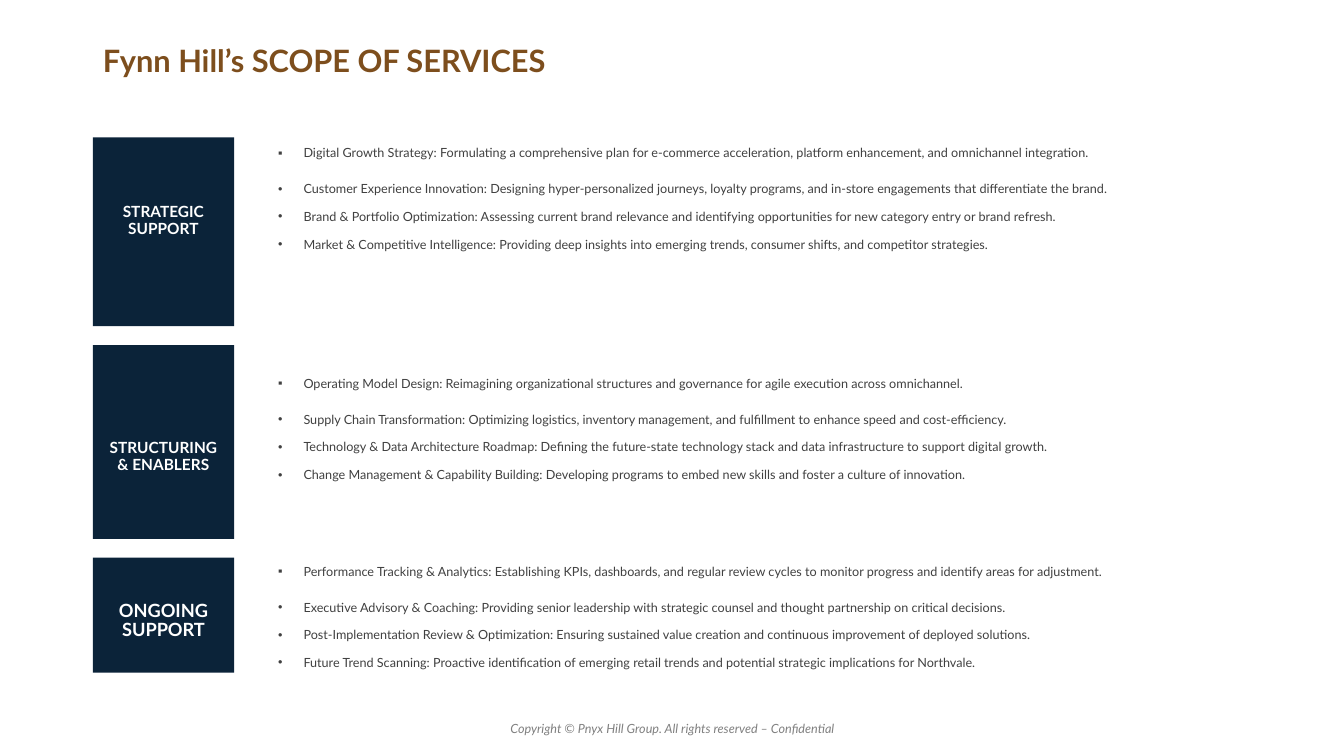
from lxml import etree
from pptx import Presentation
from pptx.dml.color import RGBColor
from pptx.enum.shapes import MSO_SHAPE
from pptx.enum.text import MSO_ANCHOR, PP_ALIGN
from pptx.oxml.ns import qn
from pptx.util import Cm, Pt

RECTANGLE = MSO_SHAPE.RECTANGLE
TOP, MIDDLE = MSO_ANCHOR.TOP, MSO_ANCHOR.MIDDLE
LEFT, CENTER = PP_ALIGN.LEFT, PP_ALIGN.CENTER
NAVY, BROWN, WHITE, DARK_GREY, GREY = "0B2339", "7D4E1D", "FFFFFF", "404040", "808080"
MARGIN, LABEL_WIDTH = 2.34, 3.56
LIST_LEFT, LIST_WIDTH = 6.76, 25.63
INDENT = Cm(0.64)

# label, label top, height, size, text shift down, list top, list height, services
SECTIONS = [
    ("STRATEGIC SUPPORT", 3.46, 4.76, 11, -0.27, 3.46, 4.76, [
        "Digital Growth Strategy: Formulating a comprehensive plan for e-commerce acceleration, platform enhancement, and omnichannel integration.",
        "Customer Experience Innovation: Designing hyper-personalized journeys, loyalty programs, and in-store engagements that differentiate the brand.",
        "Brand & Portfolio Optimization: Assessing current brand relevance and identifying opportunities for new category entry or brand refresh.",
        "Market & Competitive Intelligence: Providing deep insights into emerging trends, consumer shifts, and competitor strategies.",
    ]),
    ("STRUCTURING & ENABLERS", 8.7, 4.88, 11, 0.38, 9.27, 4.76, [
        "Operating Model Design: Reimagining organizational structures and governance for agile execution across omnichannel.",
        "Supply Chain Transformation: Optimizing logistics, inventory management, and fulfillment to enhance speed and cost-efficiency.",
        "Technology & Data Architecture Roadmap: Defining the future-state technology stack and data infrastructure to support digital growth.",
        "Change Management & Capability Building: Developing programs to embed new skills and foster a culture of innovation.",
    ]),
    ("ONGOING SUPPORT", 14.05, 2.9, 13, 0.15, 14.0, 1.6, [
        "Performance Tracking & Analytics: Establishing KPIs, dashboards, and regular review cycles to monitor progress and identify areas for adjustment.",
        "Executive Advisory & Coaching: Providing senior leadership with strategic counsel and thought partnership on critical decisions.",
        "Post-Implementation Review & Optimization: Ensuring sustained value creation and continuous improvement of deployed solutions.",
        "Future Trend Scanning: Proactive identification of emerging retail trends and potential strategic implications for Northvale.",
    ]),
]


def color(hex_value):
    return RGBColor.from_string(hex_value)


def write(paragraph, text, size, hex_value, align=LEFT, spacing=1.0, bold=False, italic=False):
    paragraph.alignment = align
    paragraph.line_spacing = spacing
    run = paragraph.add_run()
    run.text = text
    run.font.name = "Lato"
    run.font.size = Pt(size)
    run.font.bold = bold
    run.font.italic = italic
    run.font.color.rgb = color(hex_value)


prs = Presentation()
prs.slide_width, prs.slide_height = Cm(33.87), Cm(19.05)
slide = prs.slides.add_slide(prs.slide_layouts[5])

title = slide.shapes.title
title.left, title.top, title.width, title.height = Cm(MARGIN), Cm(1.02), Cm(29.18), Cm(2.29)
title.text_frame.vertical_anchor = TOP
write(title.text_frame.paragraphs[0], "Fynn Hill’s SCOPE OF SERVICES", 22, BROWN,
      spacing=0.9, bold=True)

for name, top, height, size, shift, list_top, list_height, services in SECTIONS:
    label = slide.shapes.add_shape(RECTANGLE, Cm(MARGIN), Cm(top), Cm(LABEL_WIDTH), Cm(height))
    label.shadow.inherit = False
    label.fill.solid()
    label.fill.fore_color.rgb = color(NAVY)
    label.line.fill.background()
    label_frame = label.text_frame
    label_frame.word_wrap = True
    label_frame.vertical_anchor = MIDDLE
    label_frame.margin_top = Cm(0.13 + max(0, 2 * shift))
    label_frame.margin_bottom = Cm(0.13 + max(0, -2 * shift))
    write(label_frame.paragraphs[0], name, size, WHITE, CENTER, 0.9, bold=True)

    service_list = slide.shapes.add_textbox(Cm(LIST_LEFT), Cm(list_top), Cm(LIST_WIDTH), Cm(list_height))
    list_frame = service_list.text_frame
    list_frame.word_wrap = True
    for index, service in enumerate(services):
        first = index == 0
        item = list_frame.paragraphs[0] if first else list_frame.add_paragraph()
        properties = item._p.get_or_add_pPr()
        properties.set("marL", str(INDENT))
        properties.set("indent", str(-INDENT))
        etree.SubElement(properties, qn("a:buFont")).set("typeface", "Arial")
        etree.SubElement(properties, qn("a:buChar")).set("char", "▪" if first else "•")
        if first:
            item.space_after = Pt(6)
        else:
            item.space_before = Pt(10)
        write(item, service, 9, DARK_GREY, spacing=1.2 if first else 0.9)

footer = slide.shapes.add_textbox(Cm(10.08), Cm(18.03), Cm(13.72), Cm(0.64))
footer.text_frame.word_wrap = True
write(footer.text_frame.paragraphs[0],
      "Copyright © Pnyx Hill Group. All rights reserved – Confidential", 9, GREY, CENTER, italic=True)

prs.save("out.pptx")
